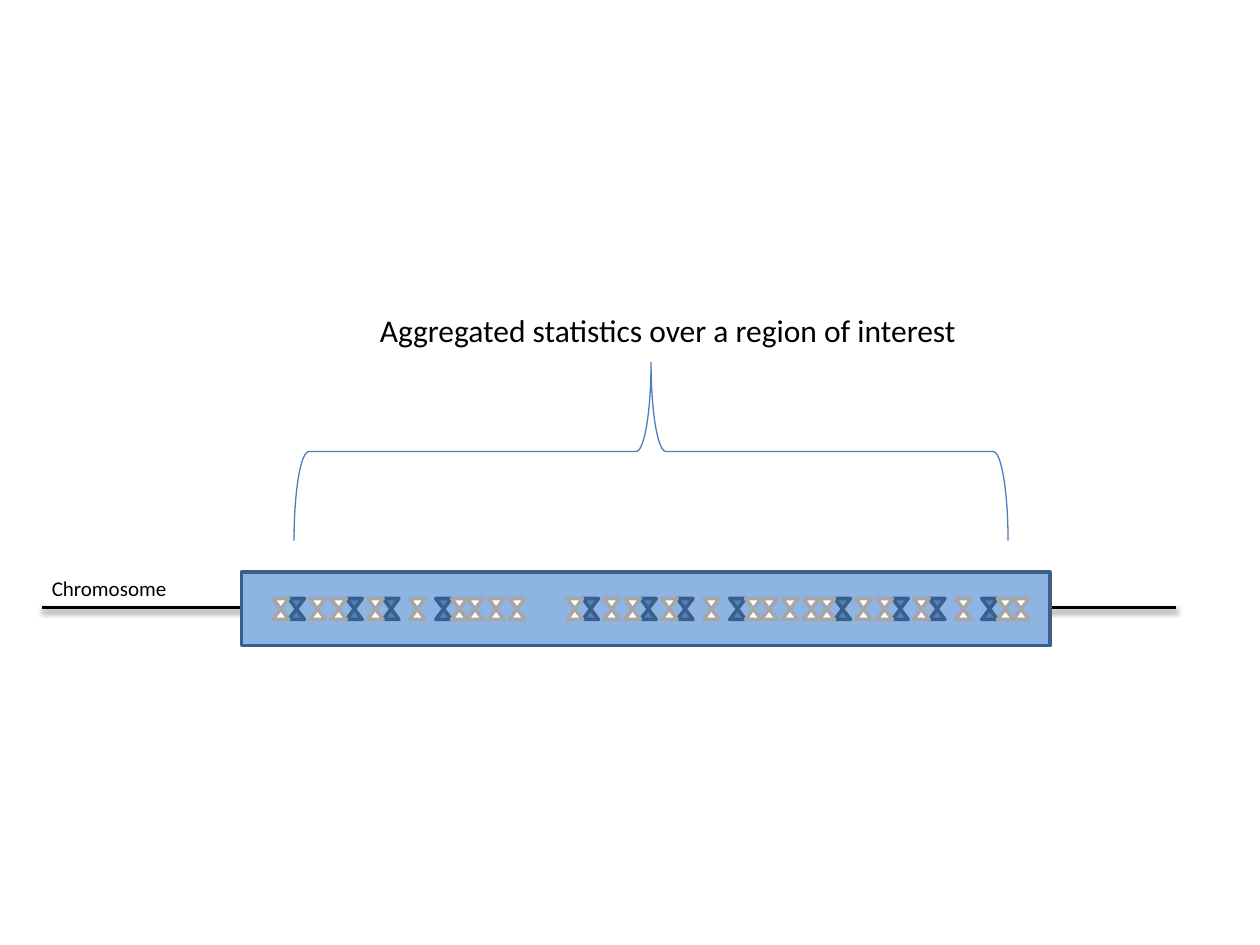
from lxml import etree
from pptx import Presentation
from pptx.dml.color import RGBColor
from pptx.enum import shapes, text
from pptx.oxml.ns import qn
from pptx.util import Emu, Pt

PX = 9525  # 96 px to the inch
KIND = shapes.MSO_SHAPE

# Content: label, box, size
LABELS = [
    ("Chromosome", (30, 434, 128, 29), 12),
    ("Aggregated statistics over a region of interest", (280, 232, 480, 38), 18),
]
BRACE = (428, 72, 136, 544)
REGION = (184, 436, 616, 56)
STRAND = (32, 463, 896, 463)

# Markers: offsets within a cluster; each cluster has a start and a length
HIT = dict(fill="4F81BD", line="3A5F8C", width=2)
MISS = dict(fill="FFFFFF", line="A6A6A6", width=2)
MARKS = [
    (HIT, (56, 12, 84, 124)),
    (MISS, (104, 164, 72, 148, 28, 44, 136, 180, 0)),
]
CLUSTERS = [(208, 192), (432, 192), (624, 160)]
MARK_Y, MARK_W, MARK_H = 456, 12, 16


def px(*vals):
    return [Emu(v * PX) for v in vals]


def rgb(code):
    return RGBColor.from_string(code)


def draw(kind, box, line, width, fill=None):
    shape = slide.shapes.add_shape(kind, *px(*box))
    shape.shadow.inherit = False
    if fill:
        shape.fill.solid()
        shape.fill.fore_color.rgb = rgb(fill)
    else:
        shape.fill.background()
    shape.line.color.rgb = rgb(line)
    shape.line.width = Pt(width)
    return shape


def label(words, box, size):
    frame = slide.shapes.add_textbox(*px(*box)).text_frame
    frame.word_wrap = True
    frame.auto_size = text.MSO_AUTO_SIZE.SHAPE_TO_FIT_TEXT
    run = frame.paragraphs[0].add_run()
    run.text = words
    for key, val in dict(name="Calibri", size=Pt(size)).items():
        setattr(run.font, key, val)
    run.font.color.rgb = rgb("000000")


def shade(line):
    effects = etree.SubElement(line._element.spPr, qn("a:effectLst"))
    outer = etree.SubElement(effects, qn("a:outerShdw"), blurRad=str(Pt(3.1)),
                             dist=str(Pt(1.6)), dir="5400000", rotWithShape="0")
    color = etree.SubElement(outer, qn("a:srgbClr"), val="000000")
    etree.SubElement(color, qn("a:alpha"), val="38000")


deck = Presentation()
deck.slide_width, deck.slide_height = px(960, 720)
slide = deck.slides.add_slide(deck.slide_layouts[6])

# Brace over the region
draw(KIND.LEFT_BRACE, BRACE, "4B7EBC", 0.75).rotation = 90

# Chromosome strand, behind the region
strand = slide.shapes.add_connector(shapes.MSO_CONNECTOR.STRAIGHT, *px(*STRAND))
strand.line.color.rgb = rgb("000000")
strand.line.width = Pt(2)
shade(strand)
draw(KIND.RECTANGLE, REGION, "3A5F8C", 2, "8EB4E3")

# Markers that fit within each cluster
for start, length in CLUSTERS:
    for style, offsets in MARKS:
        for off in offsets:
            if off + MARK_W <= length:
                draw(KIND.FLOWCHART_COLLATE,
                     (start + off, MARK_Y, MARK_W, MARK_H), **style)

# Labels
for item in LABELS:
    label(*item)

deck.save("out.pptx")
